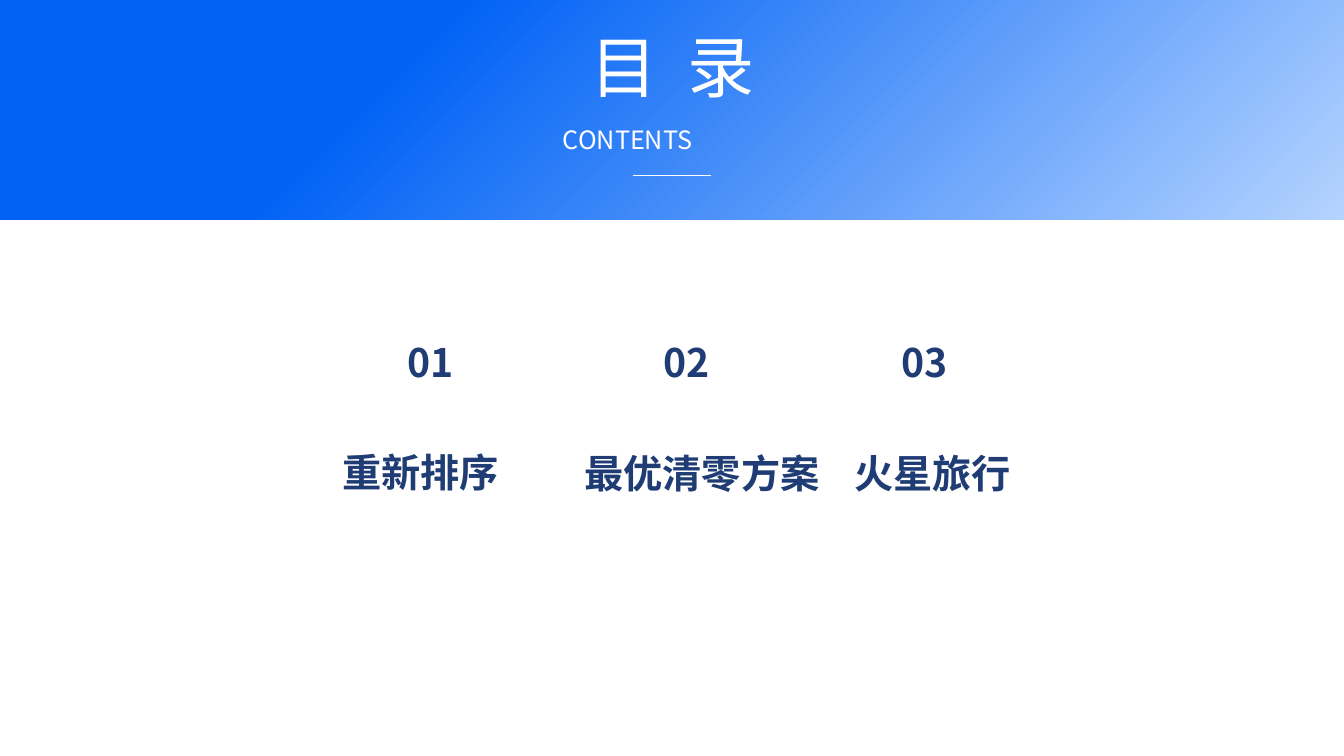
import pptx
import pptx.dml.color
import pptx.enum.shapes
import pptx.enum.text
import pptx.oxml
import pptx.oxml.ns
import pptx.util

Cm = pptx.util.Cm
Pt = pptx.util.Pt
Align = pptx.enum.text.PP_ALIGN

FONT = "Noto Sans CJK SC"
COLORS = {"band_start": "0162F5", "band_end": "B4D3FF", "light": "FFFFFF", "navy": "1F3D74"}


def rgb(name):
    """Return the palette colour with this name."""
    return pptx.dml.color.RGBColor.from_string(COLORS[name])


def write(frame, text, *, size, color, bold=False, align=Align.CENTER, tracking=0):
    """Fill a text frame with one formatted paragraph."""
    frame.word_wrap = True
    frame.auto_size = pptx.enum.text.MSO_AUTO_SIZE.SHAPE_TO_FIT_TEXT
    frame.vertical_anchor = pptx.enum.text.MSO_ANCHOR.TOP
    frame.margin_left = frame.margin_right = Cm(0.13)
    frame.margin_top = frame.margin_bottom = Cm(0.13)
    paragraph = frame.paragraphs[0]
    paragraph.alignment = align
    paragraph.line_spacing = 0.9
    run = paragraph.add_run()
    run.text = text
    run.font.name = FONT
    run.font.size = Pt(size)
    run.font.bold = bold
    run.font.color.rgb = rgb(color)
    properties = run.font._element
    properties.set("spc", str(tracking))
    east_asian = pptx.oxml.parse_xml(f'<a:ea {pptx.oxml.ns.nsdecls("a")} typeface="{FONT}"/>')
    properties.find(pptx.oxml.ns.qn("a:latin")).addnext(east_asian)


class ContentsSlide:
    """Hold the current slide and draw its elements in one style."""

    def __init__(self, slide):
        """Keep the slide to draw on."""
        self.slide = slide

    def band(self, left, top, width, height):
        """Draw the diagonal gradient band behind the heading."""
        band = self.slide.shapes.add_shape(
            pptx.enum.shapes.MSO_SHAPE.ROUNDED_RECTANGLE, Cm(left), Cm(top), Cm(width), Cm(height))
        band.adjustments[0] = 0
        band.shadow.inherit = False
        band.line.fill.background()
        band.fill.gradient()
        band.fill.gradient_angle = 315
        stops = zip(band.fill.gradient_stops, (0.3, 1), ("band_start", "band_end"))
        for stop, position, color in stops:
            stop.position = position
            stop.color.rgb = rgb(color)

    def title(self, text, left, top, width, height, **style):
        """Place the title placeholder in front of the band."""
        title = self.slide.shapes.title
        title.left, title.top, title.width, title.height = map(Cm, (left, top, width, height))
        self.slide.shapes._spTree.append(title._element)
        write(title.text_frame, text, **style)

    def label(self, text, left, top, width, height, **style):
        """Add a text box."""
        box = self.slide.shapes.add_textbox(Cm(left), Cm(top), Cm(width), Cm(height))
        write(box.text_frame, text, **style)

    def rule(self, left, right, y):
        """Add a thin horizontal rule without a shadow."""
        rule = self.slide.shapes.add_connector(
            pptx.enum.shapes.MSO_CONNECTOR.STRAIGHT, Cm(left), Cm(y), Cm(right), Cm(y))
        rule.line.color.rgb = rgb("light")
        rule.line.width = Pt(1.75)
        rule._element.spPr.append(
            pptx.oxml.parse_xml(f'<a:effectLst {pptx.oxml.ns.nsdecls("a")}/>'))


def main():
    """Build and save the contents slide."""
    deck = pptx.Presentation()
    deck.slide_width, deck.slide_height = Cm(67.74), Cm(38.1)
    contents = ContentsSlide(deck.slides.add_slide(deck.slide_layouts[5]))

    contents.band(0, -0.58, 67.74, 11.66)
    contents.title("目 录", 25.98, 1.6, 15.88, 4.37, size=96, color="light", tracking=1075)
    contents.label("CONTENTS", 28.24, 6.3, 11.25, 1.8,
                   size=36, color="light", align=Align.JUSTIFY)
    contents.rule(31.9, 35.84, 8.86)

    chapters = [
        ("重新排序", 19.53, (14.83, 22.73, 12.75, 2.64)),
        ("最优清零方案", 32.44, (28.91, 22.78, 12.95, 5.05)),
        ("火星旅行", 44.42, (41.12, 22.78, 11.79, 2.64)),
    ]
    chapter_style = {"size": 56, "color": "navy", "bold": True}
    for number, (name, number_left, name_place) in enumerate(chapters, 1):
        contents.label(f"{number:02}", number_left, 17.17, 4.34, 2.64, **chapter_style)
        contents.label(name, *name_place, **chapter_style)

    deck.save("out.pptx")


if __name__ == "__main__":
    main()
